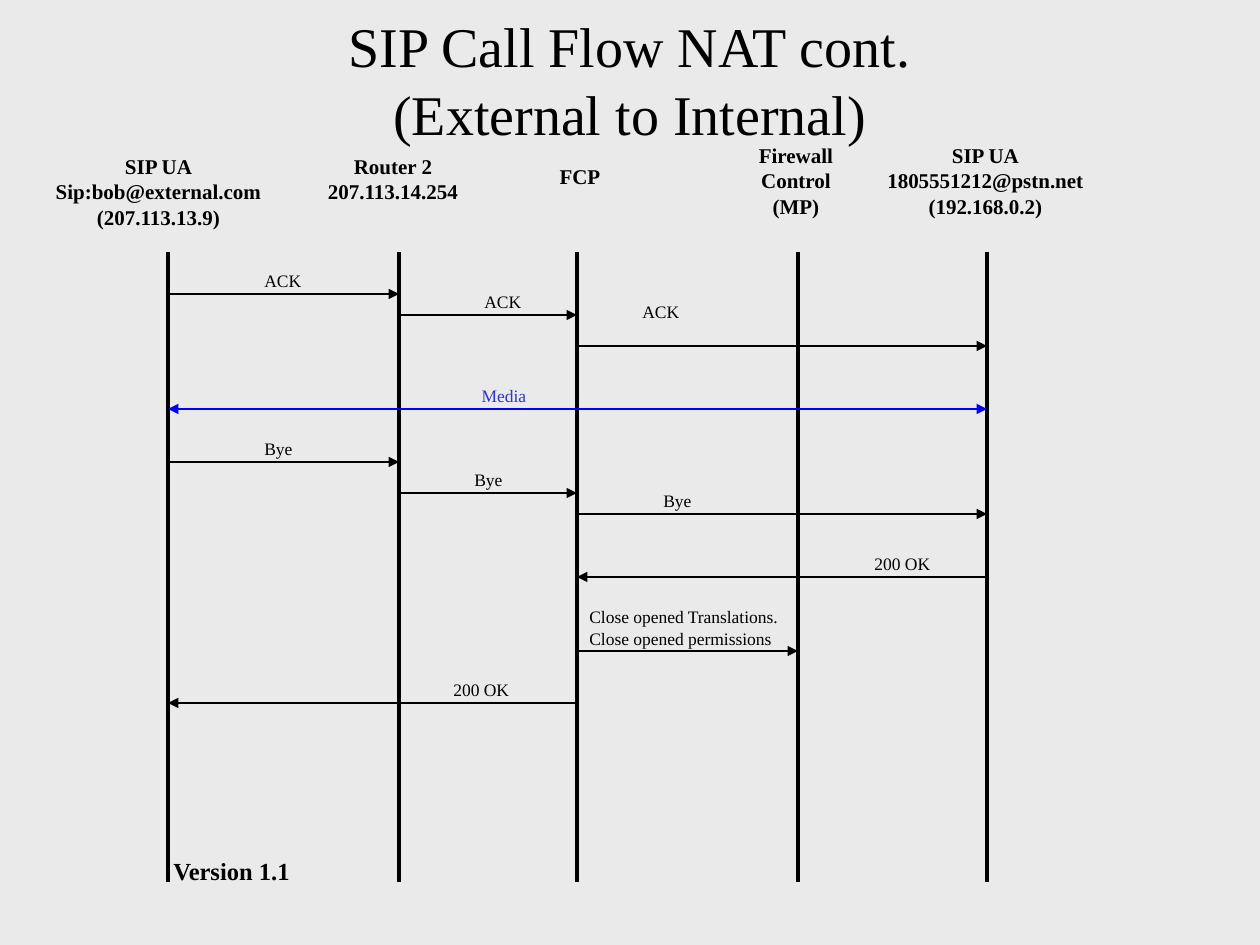
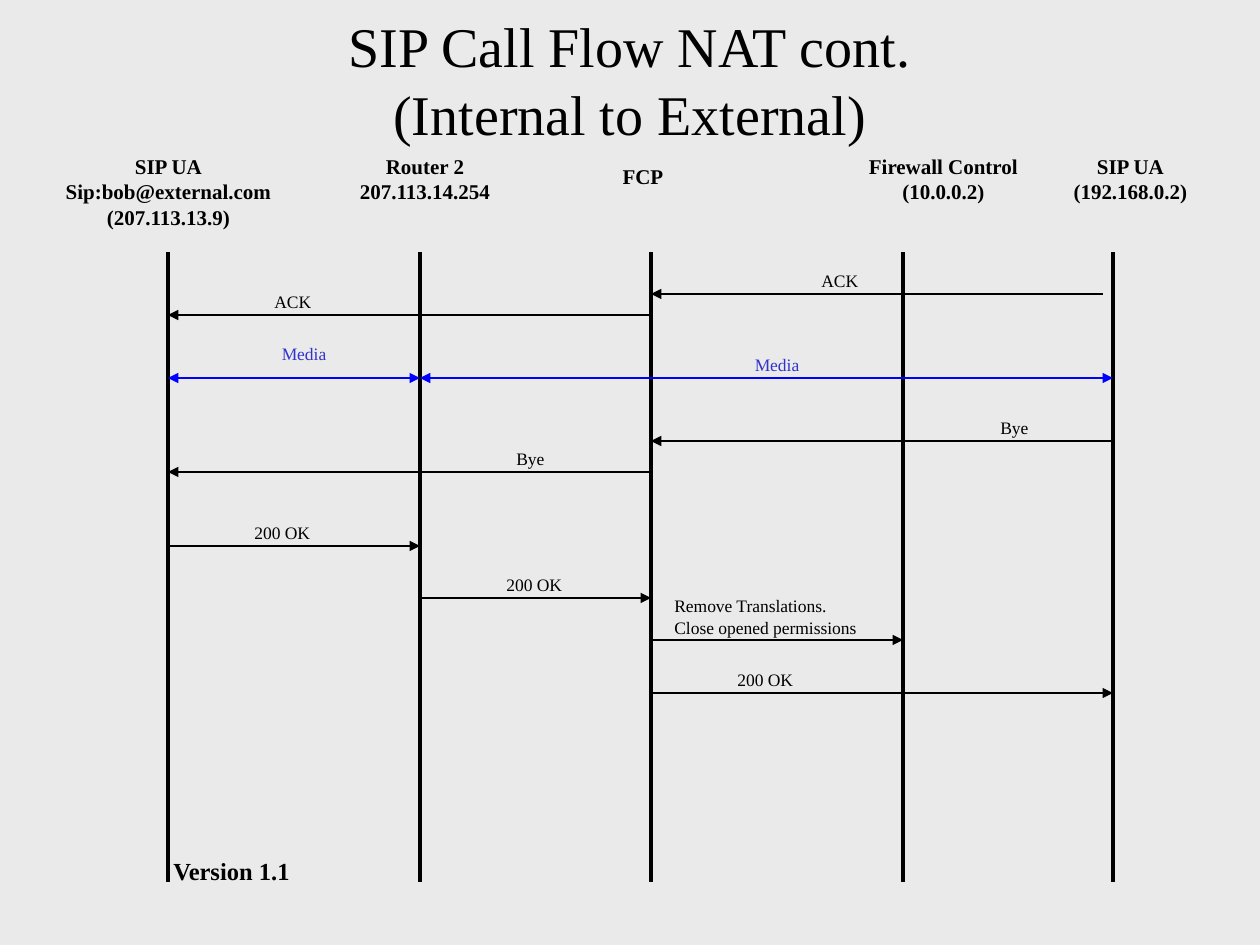
from collections import namedtuple
from lxml.etree import SubElement
from pptx import Presentation
from pptx.dml.color import RGBColor
from pptx.enum.shapes import MSO_CONNECTOR as Connector
from pptx.enum.text import MSO_ANCHOR as Anchor, MSO_AUTO_SIZE as AutoSize, PP_ALIGN as Align
from pptx.oxml.ns import qn
from pptx.util import Emu, Pt

BACKGROUND = RGBColor(0xEA, 0xEA, 0xEA)
BLACK = RGBColor(0, 0, 0)
MEDIA_LINE = RGBColor(0, 0, 0xFF)
MEDIA_TEXT = RGBColor(0x33, 0x33, 0xCC)
FONT = "Times New Roman"
PIXEL = 914400 / 126

Box = namedtuple("Box", "left top width height")
Style = namedtuple("Style", "size bold color align spacing before", defaults=(None, None))
Lane = namedtuple("Lane", "x head_left head_top head_width lines")
Message = namedtuple("Message", "start end y text text_left rise gap", defaults=(21, 0))

TITLE = Style(32, False, BLACK, Align.CENTER)
HEADING = Style(12, True, BLACK, Align.CENTER, 0.5, 7.5)
LABEL = Style(10, False, BLACK, Align.LEFT, 0.5, 6.2)
MEDIA = LABEL._replace(color=MEDIA_TEXT, align=Align.CENTER)
VERSION = Style(14, True, BLACK, Align.CENTER, None, 8.8)

TITLE_BOX = Box(0, 0, 1260, 158)
HEADING_BOX = Box(0, 147, 1260, 88)
VERSION_BOX = Box(32, 850, 399, 63)
FLOW_BOX = Box(168, 252, 945, 630)
LABEL_WIDTHS = {"ACK": 62, "Bye": 53, "Media": 84, "200 OK": 81}
NOTE_WIDTH = 228

CALLER = ["SIP UA", "Sip:bob@external.com", "(207.113.13.9)"]
ROUTER = ["Router 2", "207.113.14.254"]

INBOUND_LANES = [
    Lane(0, 43, 11, 231, CALLER),
    Lane(231, 315, 11, 156, ROUTER),
    Lane(409, 547, 21, 66, ["FCP"]),
    Lane(630, 746, 0, 100, ["Firewall", "Control", "(MP)"]),
    Lane(819, 872, 0, 227, ["SIP UA", "1805551212@pstn.net", "(192.168.0.2)"]),
]
INBOUND_MESSAGES = [
    Message(0, 1, 42, "ACK", 84),
    Message(1, 2, 63, "ACK", 304),
    Message(2, 4, 94, "ACK", 462, 42),
    Message(0, 4, 157, "Media", 294),
    Message(0, 1, 210, "Bye", 84),
    Message(1, 2, 241, "Bye", 294),
    Message(2, 4, 262, "Bye", 483),
    Message(4, 2, 325, "200 OK", 694),
    Message(2, 3, 399, "Close opened Translations.\nClose opened permissions", 409, 42),
    Message(2, 0, 451, "200 OK", 273),
]
OUTBOUND_LANES = [
    Lane(0, 53, 11, 231, CALLER),
    Lane(252, 347, 11, 156, ROUTER),
    Lane(483, 610, 21, 66, ["FCP"]),
    Lane(735, 856, 11, 175, ["Firewall Control", "(10.0.0.2)"]),
    Lane(945, 1061, 11, 139, ["SIP UA", "(192.168.0.2)"]),
]
OUTBOUND_MESSAGES = [
    Message(4, 2, 42, "ACK", 641, gap=10),
    Message(2, 0, 63, "ACK", 94),
    Message(0, 1, 126, "Media", 94, 32),
    Message(1, 4, 126, "Media", 567),
    Message(4, 2, 189, "Bye", 820),
    Message(2, 0, 220, "Bye", 336),
    Message(0, 1, 294, "200 OK", 74),
    Message(1, 2, 346, "200 OK", 326),
    Message(2, 3, 388, "Remove Translations.\nClose opened permissions", 494, 42),
    Message(2, 4, 441, "200 OK", 557),
]


def px(length):
    return Emu(round(length * PIXEL))


def add_text(page, box, lines, style, wrap=True, grow=False):
    shape = page.shapes.add_textbox(*map(px, box))
    frame = shape.text_frame
    frame.word_wrap = wrap
    frame.auto_size = AutoSize.SHAPE_TO_FIT_TEXT if grow else AutoSize.NONE
    for index, line in enumerate(lines):
        para = frame.add_paragraph() if index else frame.paragraphs[0]
        para.alignment = style.align
        if style.spacing:
            para.line_spacing = style.spacing
        if style.before:
            para.space_before = Pt(style.before)
        for part_index, part in enumerate(line.split("\n")):
            if part_index:
                para.add_line_break()
            span = para.add_run()
            span.text = part
            span.font.name = FONT
            span.font.size = Pt(style.size)
            span.font.bold = style.bold
            span.font.color.rgb = style.color
    return frame


def add_line(page, start, end, color, weight, arrows=()):
    line = page.shapes.add_connector(Connector.STRAIGHT, *map(px, start + end))
    line.line.color.rgb = color
    line.line.width = Pt(weight)
    outline = line.line._get_or_add_ln()
    for arrow in arrows:
        SubElement(outline, qn(arrow), type="triangle")
    SubElement(line._element.spPr, qn("a:effectLst"))


def add_title(page, box, direction):
    frame = add_text(page, box, [f"SIP Call Flow NAT cont.\n({direction})"], TITLE)
    frame.vertical_anchor = Anchor.MIDDLE


def add_headings(page, box, lanes):
    for lane in lanes:
        place = Box(box.left + lane.head_left, box.top + lane.head_top,
                    lane.head_width, 26 * len(lane.lines))
        add_text(page, place, lane.lines, HEADING, wrap=False, grow=True)


def add_message(page, box, lanes, message):
    media = message.text == "Media"
    y = box.top + message.y
    start = box.left + lanes[message.start].x - message.gap
    end = box.left + lanes[message.end].x
    arrows = ("a:headEnd", "a:tailEnd") if media else ("a:tailEnd",)
    add_line(page, (start, y), (end, y), MEDIA_LINE if media else BLACK, 0.74, arrows)
    lines = message.text.split("\n")
    place = Box(box.left + message.text_left, y - message.rise,
                LABEL_WIDTHS.get(message.text, NOTE_WIDTH), 23 * len(lines))
    add_text(page, place, lines, MEDIA if media else LABEL,
             wrap=len(lines) > 1, grow=True)


def add_flow(page, box, lanes, messages):
    for lane in lanes:
        x = box.left + lane.x
        add_line(page, (x, box.top), (x, box.top + box.height), BLACK, 2.24)
    for message in messages:
        add_message(page, box, lanes, message)


def add_call_flow_slide(deck, direction, lanes, messages):
    page = deck.slides.add_slide(deck.slide_layouts[6])
    add_title(page, TITLE_BOX, direction)
    add_headings(page, HEADING_BOX, lanes)
    add_flow(page, FLOW_BOX, lanes, messages)
    add_text(page, VERSION_BOX, ["Version 1.1"], VERSION)


deck = Presentation()
deck.slide_width, deck.slide_height = px(1260), px(945)
master_fill = deck.slide_master.background.fill
master_fill.solid()
master_fill.fore_color.rgb = BACKGROUND
add_call_flow_slide(deck, "External to Internal", INBOUND_LANES, INBOUND_MESSAGES)
add_call_flow_slide(deck, "Internal to External", OUTBOUND_LANES, OUTBOUND_MESSAGES)
deck.save("out.pptx")
